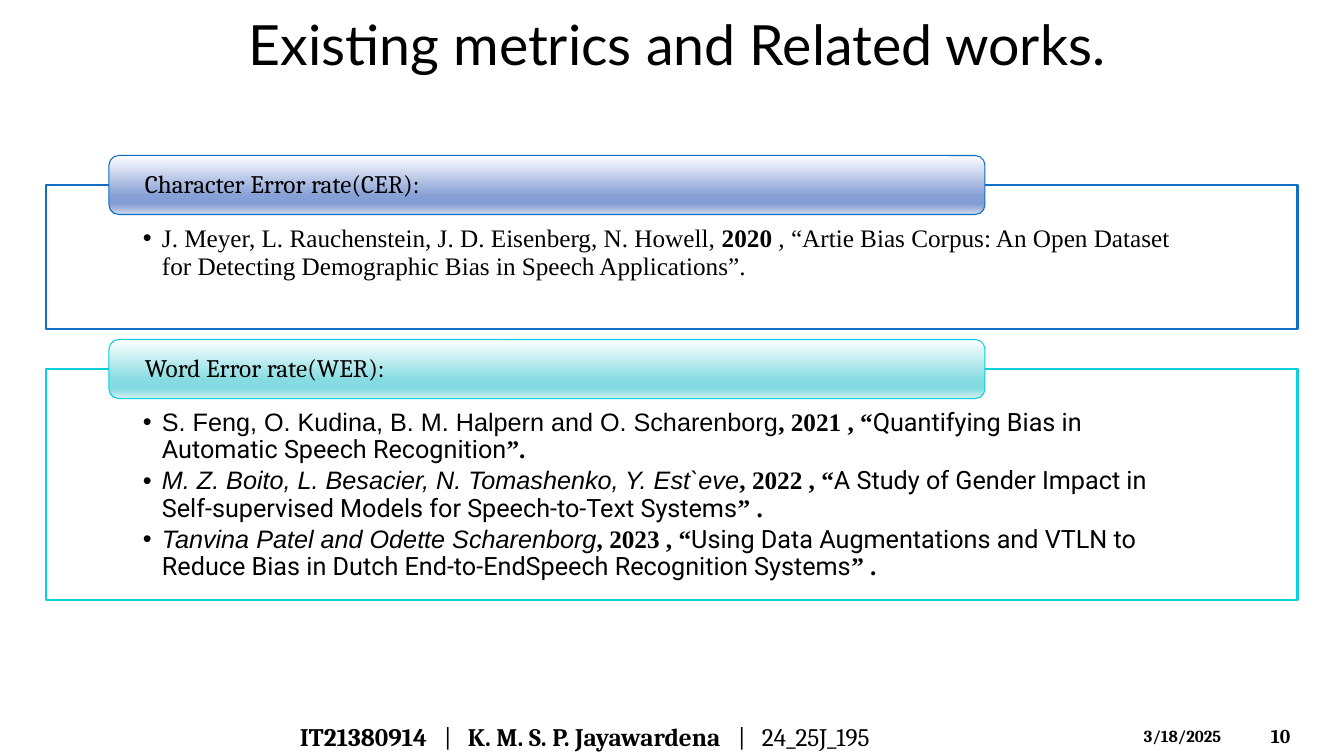
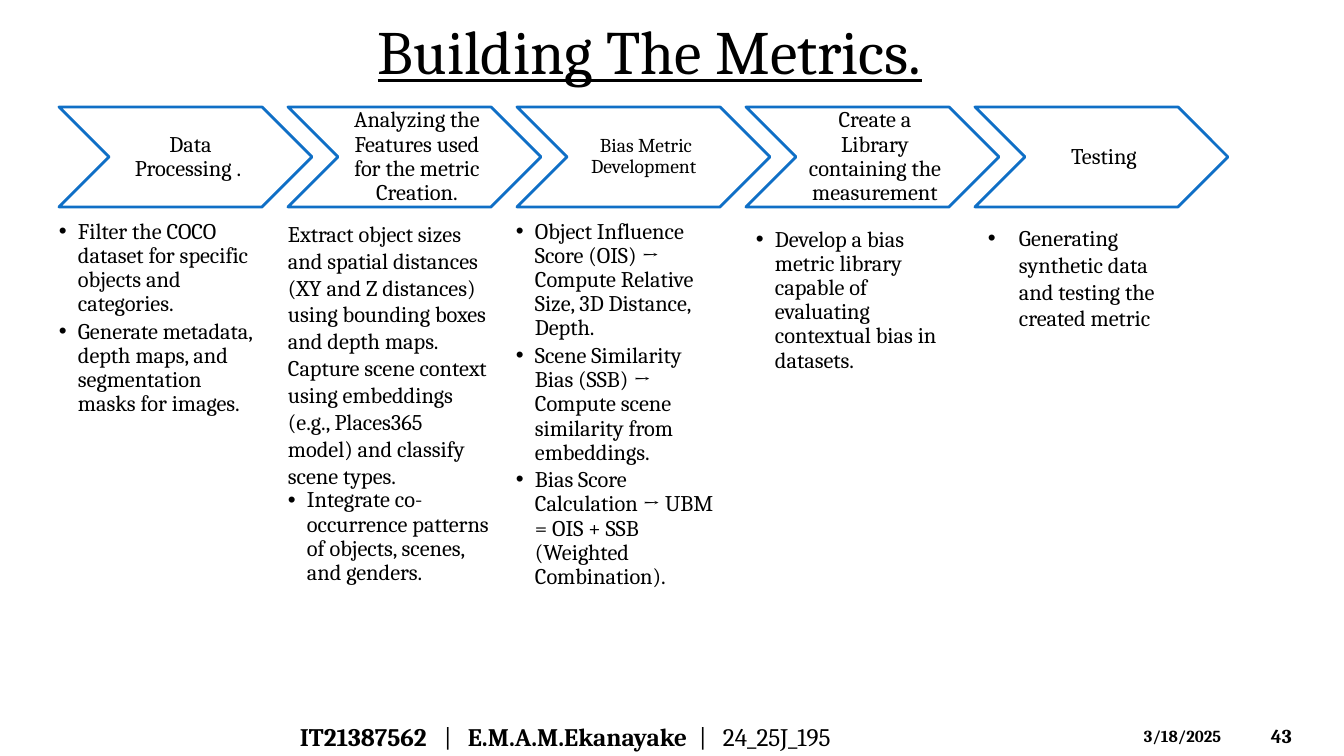
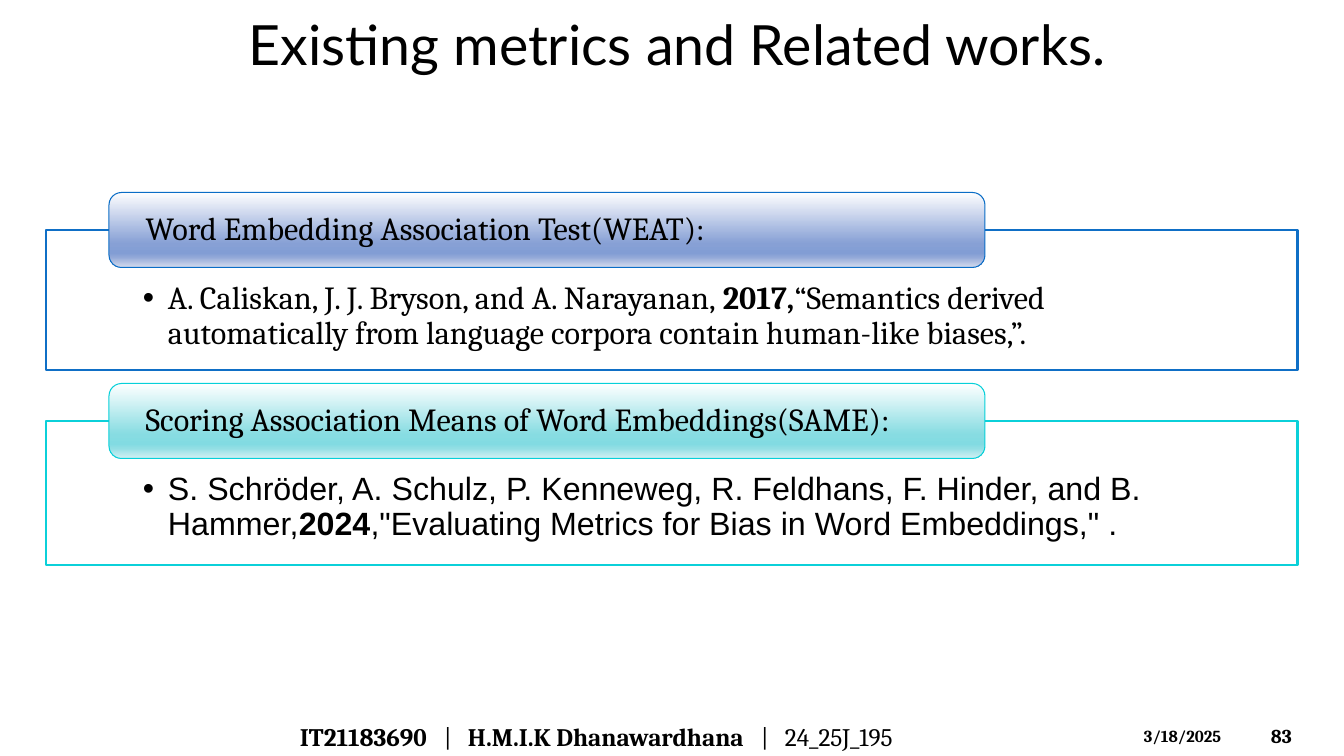
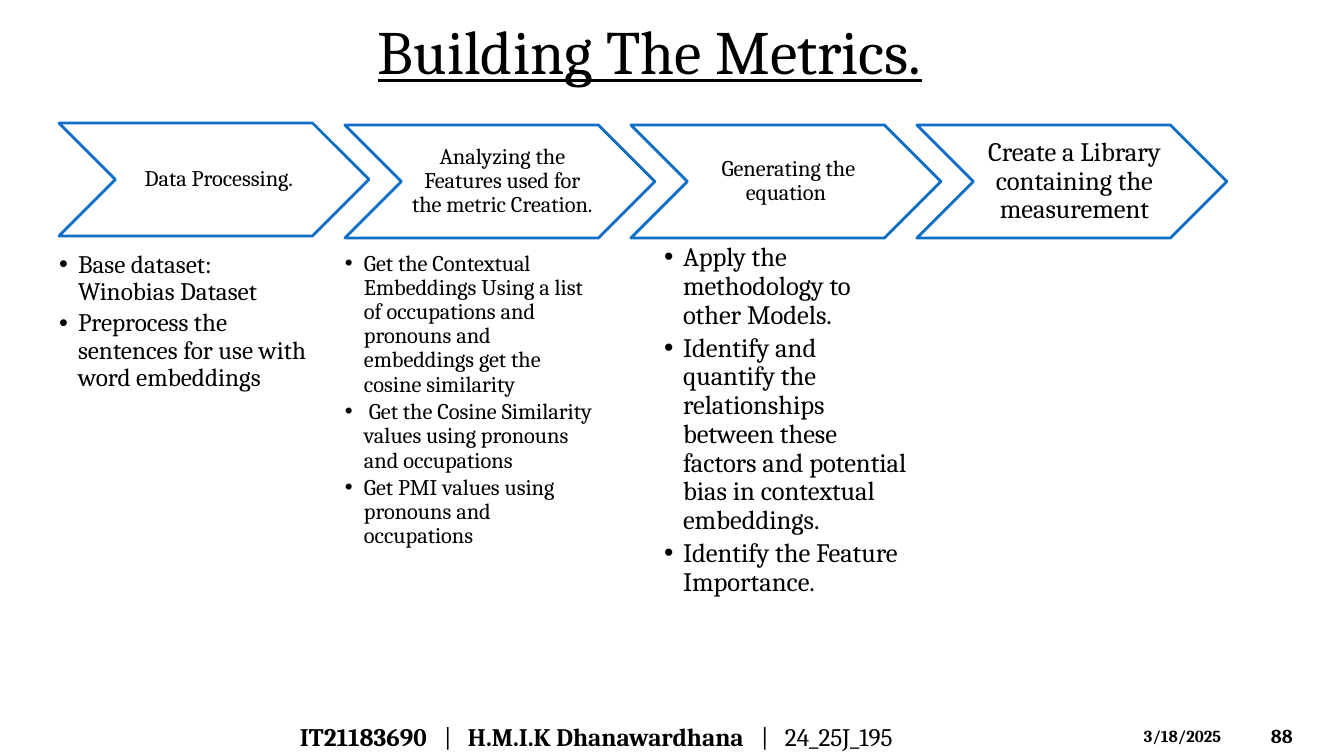
from lxml import etree
from pptx import Presentation
from pptx import util as u
from pptx.dml.color import RGBColor
from pptx.enum import shapes, text
from pptx.oxml.ns import qn

PX = 914400 / 100.8
BLUE, CYAN, BLACK, WHITE = "0F6FC6", "0BD0D9", "000000", "FFFFFF"
STOPS = (0, 68, 81, 86, 100)
BLUE_BAR = ("0A6DC6", ("FEFEFF", "87A0D5", "829DD4", "91A7D7", "D4DBED"))
CYAN_BAR = ("06D0D9", ("FEFFFF", "87DCE2", "82DBE2", "90DEE4", "D3F0F3"))
BOLD = {"bold": True}
SHAPE, ALIGN, ANCHOR = shapes.MSO_SHAPE, text.PP_ALIGN, text.MSO_ANCHOR
rgb = RGBColor.from_string


def add(slide, box, kind=None, line=None, width=2):
    """Add a text box, or a white outlined shape when a kind is given."""
    box = [u.Emu(round(v * PX)) for v in box]
    if kind is None:
        return slide.shapes.add_textbox(*box)
    sp = slide.shapes.add_shape(kind, *box)
    sp.shadow.inherit = False
    sp.fill.solid()
    sp.fill.fore_color.rgb = rgb(WHITE)
    sp.line.color.rgb = rgb(line)
    sp.line.width = u.Pt(width)
    return sp


def write(sp, paras, size, insets=(0, 0, 0, 0), anchor=ANCHOR.TOP, align=ALIGN.LEFT,
          spacing=1, indent=0, plain=0, tabs=(), **style):
    """Fill a shape; each paragraph is a list of (words, format) runs or a string.

    An indent gives bullets, except to the first `plain` paragraphs.
    """
    tf = sp.text_frame
    sides = ("margin_left", "margin_top", "margin_right", "margin_bottom")
    frame = dict(zip(sides, (u.Emu(round(v * PX)) for v in insets)))
    for name, value in {**frame, "word_wrap": True, "vertical_anchor": anchor}.items():
        setattr(tf, name, value)
    for i, runs in enumerate(paras):
        p = tf.add_paragraph() if i else tf.paragraphs[0]
        bullet = indent and i >= plain
        pPr = p._p.get_or_add_pPr()
        if bullet:
            pPr.set("marL", str(round(indent * PX)))
            pPr.set("indent", str(round(-indent * PX)))
            etree.SubElement(pPr, qn("a:buFont")).set("typeface", "Arial")
            etree.SubElement(pPr, qn("a:buChar")).set("char", "•")
        if tabs:
            tab_list = etree.SubElement(pPr, qn("a:tabLst"))
            for pos in tabs:
                etree.SubElement(tab_list, qn("a:tab"), pos=str(round(pos * PX)), algn="l")
        p.alignment = align
        p.line_spacing = 1.0 if i < plain else spacing
        p.space_after = u.Pt(round(size * 0.15, 1) if bullet else 0)
        for words, fmt in [(runs, {})] if isinstance(runs, str) else runs:
            r = p.add_run()
            r.text = words
            look = {"name": "Cambria", "size": u.Pt(size), **style, **fmt}
            for name, value in look.items():
                setattr(r.font, name, value)
            r.font.color.rgb = rgb(BLACK)


prs = Presentation()
prs.slide_width, prs.slide_height = (u.Emu(round(v * PX)) for v in (1344, 756))

# Slides with their footers: student, name, second bar's tab, page
slides = []
for student, name, bar, page in (
    ("IT21380914", "K. M. S. P. Jayawardena", 438, "10"),
    ("IT21387562", "E.M.A.M.Ekanayake", 399, "43"),
    ("IT21183690", "H.M.I.K Dhanawardhana", 461, "83"),
    ("IT21183690", "H.M.I.K Dhanawardhana", 461, "88"),
):
    s = prs.slides.add_slide(prs.slide_layouts[6])
    slides.append(s)
    credit = [(student, BOLD), ("\t|\t", {}), (name, BOLD), ("\t|\t24_25J_195", {})]
    write(add(s, (300, 716, 731, 40)), [credit], 18, anchor=ANCHOR.MIDDLE,
          tabs=(144, 168, bar, bar + 24))
    write(add(s, (1144, 726, 108, 20)), ["3/18/2025"], 12, bold=True)
    write(add(s, (1271, 716, 65, 40)), [page], 14, anchor=ANCHOR.MIDDLE, bold=True)

# Related works: framed lists with a gradient header on the top edge
TIMES_BOLD = {"name": "Times New Roman", "bold": True}
TIMES, ROBOTO = {"name": "Times New Roman"}, {"name": "Roboto"}
ARIAL = {"name": "Arial"}
ARIAL_ITALIC = {"name": "Arial", "italic": True}
ARIAL_BOLD = {"name": "Arial", "bold": True}
related = (
    (slides[0], 18, 59, 41, 19, (
        (185, 144, "Character Error rate(CER):", [
            [("J. Meyer, L. Rauchenstein, J. D. Eisenberg, N. Howell,", TIMES),
             (" 2020 ", TIMES_BOLD),
             (", “Artie Bias Corpus: An Open Dataset for Detecting Demographic Bias in "
              "Speech Applications”.", TIMES)]]),
        (369, 231, "Word Error rate(WER):", [
            [("S. Feng, O. Kudina, B. M. Halpern and O. Scharenborg", ARIAL),
             (", 2021 , “", TIMES_BOLD),
             ("Quantifying Bias in Automatic Speech Recognition", ROBOTO),
             ("”.", TIMES_BOLD)],
            [("M. Z. Boito, L. Besacier, N. Tomashenko, Y. Est`eve", ARIAL_ITALIC),
             (", 2022 , “", TIMES_BOLD),
             ("A Study of Gender Impact in Self-supervised Models for Speech-to-Text "
              "Systems", ROBOTO),
             ("” .", TIMES_BOLD)],
            [("Tanvina Patel and Odette Scharenborg", ARIAL_ITALIC),
             (", 2023 , “", TIMES_BOLD),
             ("Using Data Augmentations and VTLN to Reduce Bias in Dutch "
              "End-to-EndSpeech Recognition Systems", ROBOTO),
             ("” .", TIMES_BOLD)]]),
    )),
    (slides[2], 23, 75, 52, 25, (
        (230, 140, "Word Embedding Association Test(WEAT):", [
            [("A. Caliskan, J. J. Bryson, and A. Narayanan, ", {}),
             ("2017,", BOLD),
             ("“Semantics derived automatically from language corpora contain human-like "
              "biases,”.", {})]]),
        (421, 144, "Scoring Association Means of Word Embeddings(SAME):", [
            [("S. Schröder, A. Schulz, P. Kenneweg, R. Feldhans, F. Hinder, and B. Hammer,",
              ARIAL),
             ("2024", ARIAL_BOLD),
             (',"Evaluating Metrics for Bias in Word Embeddings," .', ARIAL)]]),
    )),
)
for s, size, header_h, inset_top, indent, frames in related:
    write(add(s, (33, 9, 1288, 68)), ["Existing metrics and Related works."], 39.6,
          anchor=ANCHOR.MIDDLE, align=ALIGN.CENTER, name="Lato")
    for (top, height, header, works), edge, (bar_line, shades) in zip(
            frames, (BLUE, CYAN), (BLUE_BAR, CYAN_BAR)):
        sp = add(s, (46, top, 1252, height), SHAPE.RECTANGLE, edge)
        write(sp, works, size, (97, inset_top, 97, 14), spacing=0.9, indent=indent)
        sp = add(s, (109, top - header_h / 2, 876, header_h), SHAPE.ROUNDED_RECTANGLE,
                 bar_line, 0.75)
        sp.fill.gradient()
        sp.fill.gradient_angle = 270
        stops = sp._element.spPr.find(".//" + qn("a:gsLst"))
        for old in list(stops):
            stops.remove(old)
        for pos, shade in zip(STOPS, shades):
            gs = etree.SubElement(stops, qn("a:gs"), pos=str(pos * 1000))
            etree.SubElement(gs, qn("a:srgbClr"), val=shade)
        write(sp, [header], size, (33, 0, 33, 0), ANCHOR.MIDDLE, spacing=0.9)

# Building the metrics: a row of chevrons; each step is (label, size, top)
processes = (
    (slides[1], 229, 253, 100, (
        (" Data Processing .", 16, 107),
        ("Analyzing the Features used for the metric Creation.", 16, 107),
        ("Bias Metric Development ", 14, 107),
        ("Create a Library containing the measurement", 16, 107),
        ("Testing", 16, 107),
    )),
    (slides[3], 286, 310, 113, (
        (" Data Processing.", 16, 123),
        ("Analyzing the Features used for the metric Creation.", 16, 125),
        ("Generating the equation ", 16, 125),
        ("Create a Library containing the measurement", 19, 125),
    )),
)
for s, step, width, height, labels in processes:
    write(add(s, (378, 13, 589, 75)), ["Building The Metrics."], 44, underline=True)
    for i, (label, size, top) in enumerate(labels):
        sp = add(s, (59 + i * step, top, width, height), SHAPE.CHEVRON, BLUE)
        write(sp, [label], size, (7, 2, 2, 2), ANCHOR.MIDDLE, ALIGN.CENTER, 0.9)

# Notes under the chevrons: slide, box, size, spacing, indent, plain paragraphs, words
notes = (
    (slides[1], (59, 220, 202, 429), 16, 0.9, 19, 0, [
        "Filter the COCO dataset for specific objects and categories.",
        "Generate metadata, depth maps, and segmentation masks for images."]),
    (slides[1], (288, 220, 202, 429), 16, 0.9, 19, 2, [
        "Extract object sizes and spatial distances (XY and Z distances) using bounding "
        "boxes and depth maps.",
        "Capture scene context using embeddings (e.g., Places365 model) and classify "
        "scene types.",
        "Integrate co-occurrence patterns of objects, scenes, and genders."]),
    (slides[1], (516, 220, 202, 429), 16, 0.9, 19, 0, [
        "Object Influence Score (OIS) → Compute Relative Size, 3D Distance, Depth.",
        "Scene Similarity Bias (SSB) → Compute scene similarity from embeddings.",
        "Bias Score Calculation → UBM = OIS + SSB (Weighted Combination)."]),
    (slides[1], (756, 228, 202, 416), 16, 0.9, 19, 0, [
        "Develop a bias metric library capable of evaluating contextual bias in "
        "datasets."]),
    (slides[1], (988, 224, 181, 109), 16, 1.0, 31, 0, [
        "Generating synthetic data and testing the created metric"]),
    (slides[3], (59, 252, 248, 379), 18, 0.9, 19, 0, [
        "Base dataset: Winobias Dataset",
        "Preprocess the sentences for use with word embeddings"]),
    (slides[3], (345, 252, 248, 379), 16, 0.9, 19, 0, [
        "Get the Contextual Embeddings Using a list of occupations and pronouns and "
        "embeddings get the cosine similarity",
        " Get the Cosine Similarity values using pronouns and occupations",
        "Get PMI values using pronouns and occupations"]),
    (slides[3], (664, 244, 248, 379), 19, 0.9, 19, 0, [
        "Apply the methodology to other Models.",
        "Identify and quantify the relationships between these factors and potential "
        "bias in contextual embeddings.",
        "Identify the Feature Importance."]),
)
for s, box, size, spacing, indent, plain, paras in notes:
    write(add(s, box), paras, size, spacing=spacing, indent=indent, plain=plain)

prs.save("out.pptx")
